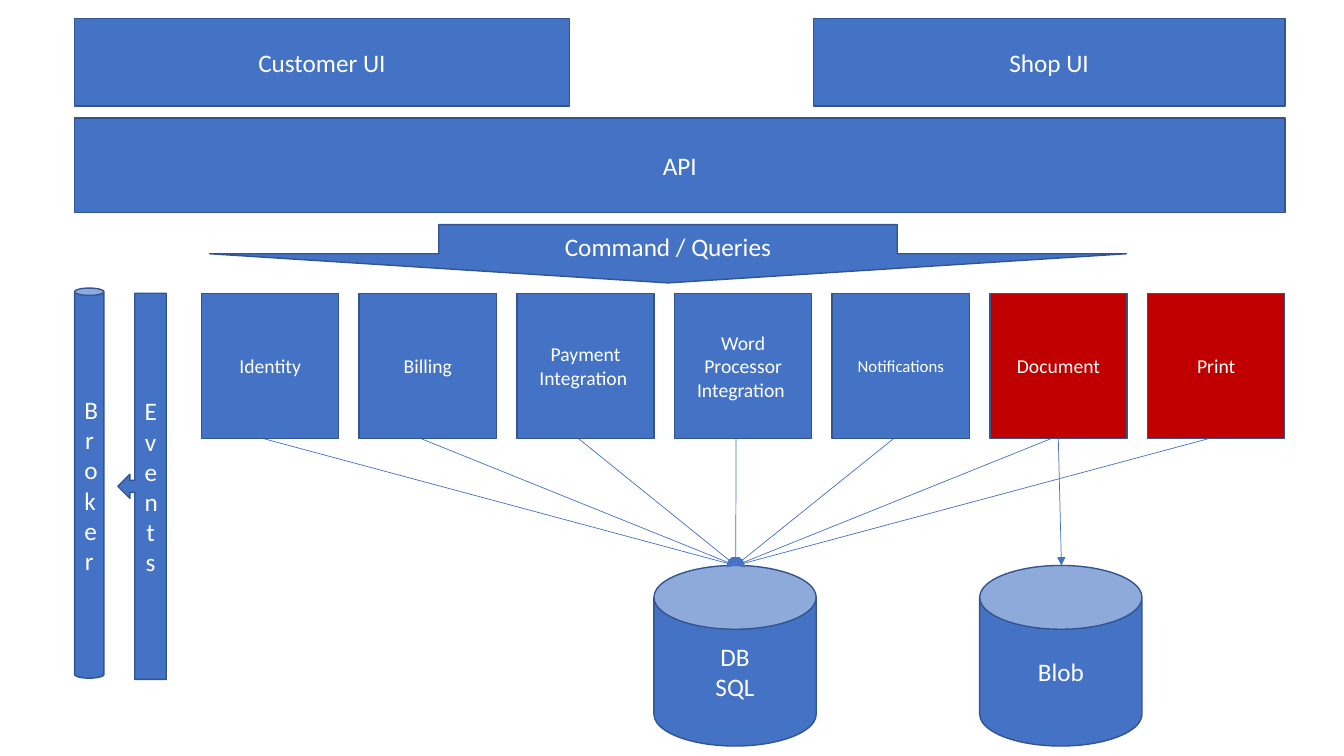
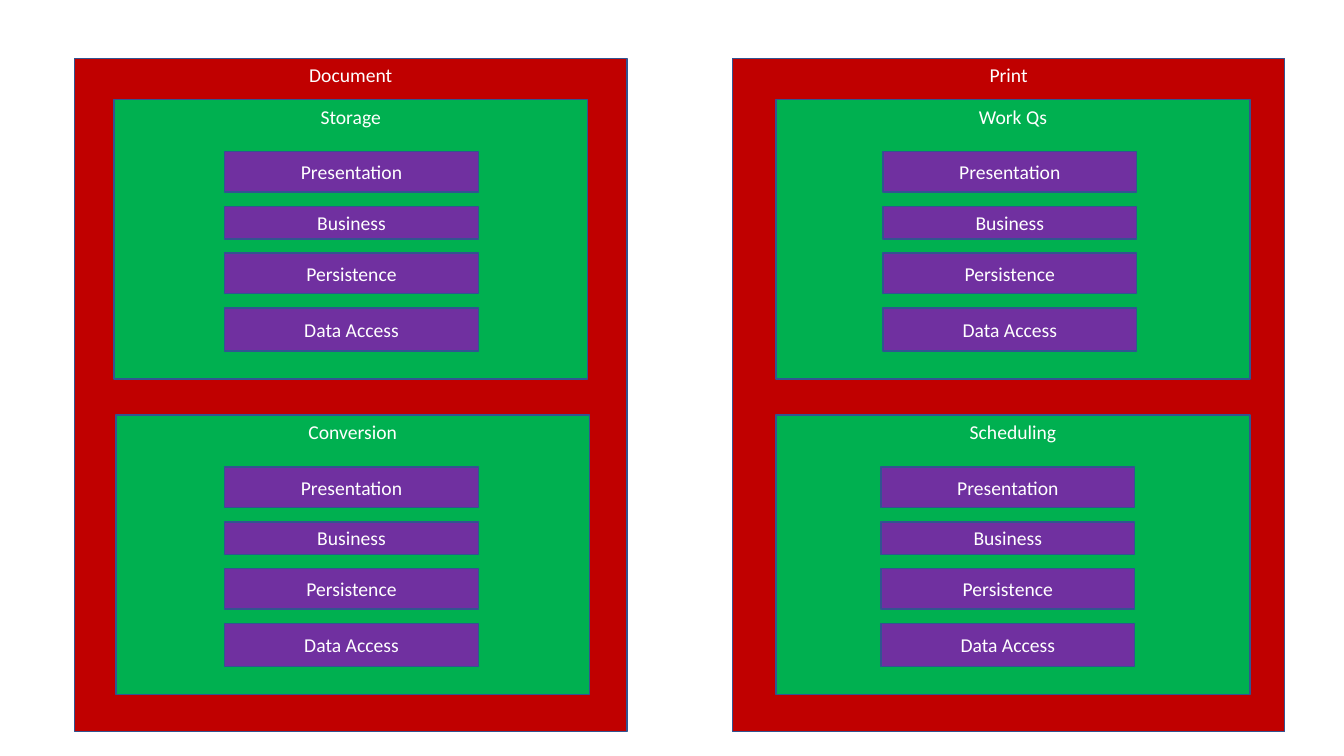
import pptx
import pptx.util
import pptx.dml.color
import pptx.enum.shapes
import pptx.enum.text
import pptx.oxml
import pptx.oxml.ns

Cm = pptx.util.Cm
Pt = pptx.util.Pt
RGBColor = pptx.dml.color.RGBColor
Shape = pptx.enum.shapes.MSO_SHAPE
Anchor = pptx.enum.text.MSO_ANCHOR

BLUE = RGBColor(0x44, 0x72, 0xC4)
OUTLINE = RGBColor(0x32, 0x54, 0x91)
RED = RGBColor(0xC0, 0x00, 0x00)
GREEN = RGBColor(0x00, 0xB0, 0x50)
PURPLE = RGBColor(0x70, 0x30, 0xA0)
WHITE = RGBColor(0xFF, 0xFF, 0xFF)
FONT = "Calibri"

LEFT = 1.88
RIGHT = 32.38

SERVICES = [
    ("Identity", 14, BLUE),
    ("Billing", 14, BLUE),
    ("Payment Integration ", 14, BLUE),
    ("Word Processor\nIntegration ", 14, BLUE),
    ("Notifications", 12, BLUE),
    ("Document", 14, RED),
    ("Print", 14, RED),
]
SERVICE_LEFT = 5.08
SERVICE_TOP = 7.39
SERVICE_WIDTH = 3.46
SERVICE_HEIGHT = 3.66
SERVICE_PITCH = (RIGHT - SERVICE_LEFT - SERVICE_WIDTH) / (len(SERVICES) - 1)
LINK_OFFSET = 1.55

STORE_TOP = 14.25
STORE_WIDTH = 4.09
STORE_HEIGHT = 4.55

PANEL_TOP = 1.47
PANEL_WIDTH = 13.92
PANEL_HEIGHT = 16.97
MODULE_TOPS = (2.51, 10.46)
MODULE_WIDTH = 11.94
MODULE_HEIGHT = 7.04
LAYERS = [
    ("Presentation", 1.02),
    ("Business", 0.82),
    ("Persistence", 1.02),
    ("Data Access", 1.09),
]
LAYER_OFFSET = 1.31
LAYER_GAP = 0.36
LAYER_WIDTH = 6.4
PANELS = [
    ("Document", LEFT, [("Storage", 2.87, 5.66), ("Conversion", 2.92, 5.66)]),
    ("Print", RIGHT - PANEL_WIDTH,
     [("Work Qs", 19.56, 22.25), ("Scheduling", 19.56, 22.2)]),
]


def write_text(box, text, size=18, color=WHITE, anchor=Anchor.MIDDLE):
    frame = box.text_frame
    frame.word_wrap = True
    frame.vertical_anchor = anchor
    for index, line in enumerate(text.split("\n")):
        para = frame.paragraphs[0] if index == 0 else frame.add_paragraph()
        para.alignment = pptx.enum.text.PP_ALIGN.CENTER
        span = para.add_run()
        span.text = line
        span.font.name = FONT
        span.font.size = Pt(size)
        span.font.color.rgb = color


def add_box(page, text, left, top, width, height,
            kind=Shape.RECTANGLE, fill=BLUE, **text_format):
    box = page.shapes.add_shape(kind, Cm(left), Cm(top), Cm(width), Cm(height))
    box.shadow.inherit = False
    box.fill.solid()
    box.fill.fore_color.rgb = fill
    box.line.color.rgb = OUTLINE
    box.line.width = Pt(1)
    write_text(box, text, **text_format)
    return box


def add_store(page, text, left):
    store = add_box(page, text, left, STORE_TOP, STORE_WIDTH, STORE_HEIGHT,
                    kind=Shape.CAN)
    store.adjustments[0] = 0.393


def add_arrow(page, start, end):
    arrow = page.shapes.add_connector(
        pptx.enum.shapes.MSO_CONNECTOR.STRAIGHT,
        Cm(start[0]), Cm(start[1]), Cm(end[0]), Cm(end[1]))
    arrow.line.color.rgb = BLUE
    arrow.line.width = Pt(0.5)
    names = pptx.oxml.ns.nsdecls("a")
    arrow.line._get_or_add_ln().append(
        pptx.oxml.parse_xml(f'<a:tailEnd {names} type="triangle"/>'))
    arrow._element.spPr.append(pptx.oxml.parse_xml(f"<a:effectLst {names}/>"))


def add_module(page, name, left, top, layer_left):
    add_box(page, name, left, top, MODULE_WIDTH, MODULE_HEIGHT,
            fill=GREEN, size=14, anchor=Anchor.TOP)
    layer_top = top + LAYER_OFFSET
    for layer, height in LAYERS:
        add_box(page, layer, layer_left, layer_top, LAYER_WIDTH, height,
                fill=PURPLE, size=14)
        layer_top += height + LAYER_GAP


def build_architecture(page):
    process = Shape.FLOWCHART_PROCESS
    add_box(page, "Customer UI", LEFT, 0.46, 12.47, 2.21, kind=process)
    add_box(page, "Shop UI", 20.5, 0.46, RIGHT - 20.5, 2.21, kind=process)
    add_box(page, "API", LEFT, 2.97, RIGHT - LEFT, 2.39, kind=process)
    add_box(page, "Broker ", LEFT, 7.26, 0.74, 9.83, kind=Shape.CAN)
    add_store(page, "DB\nSQL", 16.48)
    add_store(page, "Blob", 24.69)

    service_bottom = SERVICE_TOP + SERVICE_HEIGHT
    for index, (name, size, fill) in enumerate(SERVICES):
        left = SERVICE_LEFT + index * SERVICE_PITCH
        add_arrow(page, (left + LINK_OFFSET, service_bottom), (18.54, STORE_TOP))
        add_box(page, name, left, SERVICE_TOP, SERVICE_WIDTH, SERVICE_HEIGHT,
                fill=fill, size=size)
    add_arrow(page, (26.67, service_bottom), (26.75, STORE_TOP))

    add_box(page, "Events", 2.97, 7.39, 1.22, 9.73,
            kind=Shape.LEFT_ARROW_CALLOUT)
    add_box(page, "Command / Queries", 5.28, 5.66, 23.11, 1.47,
            kind=Shape.DOWN_ARROW)


def build_modules(page):
    for name, left, modules in PANELS:
        add_box(page, name, left, PANEL_TOP, PANEL_WIDTH, PANEL_HEIGHT,
                fill=RED, size=14, anchor=Anchor.TOP)
        for top, (module, module_left, layer_left) in zip(MODULE_TOPS, modules):
            add_module(page, module, module_left, top, layer_left)


def main():
    deck = pptx.Presentation()
    deck.slide_width = Cm(33.87)
    deck.slide_height = Cm(19.05)
    for build in (build_architecture, build_modules):
        build(deck.slides.add_slide(deck.slide_layouts[6]))
    deck.save("out.pptx")


main()
